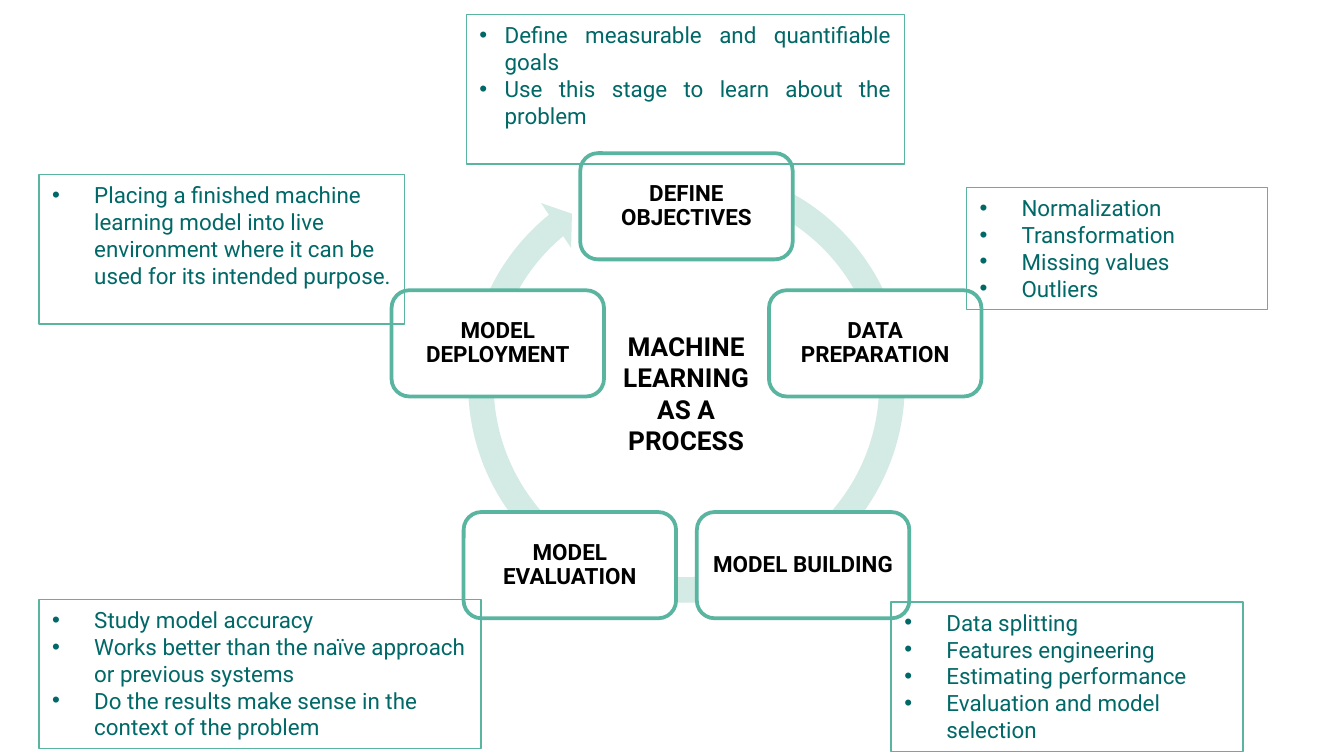
from math import cos, radians, sin

from lxml.etree import SubElement
from pptx import Presentation
from pptx.dml.color import RGBColor
from pptx.enum.shapes import MSO_SHAPE as Shape
from pptx.enum.text import MSO_ANCHOR as Anchor, PP_ALIGN as Align
from pptx.oxml.ns import qn
from pptx.util import Pt

FONT = "Roboto"
TEAL, DARK_TEAL, PALE_TEAL = "59B5A0", "006867", "D3EBE4"
BLACK, WHITE = "000000", "FFFFFF"

STAGES = ["DEFINE OBJECTIVES", "DATA PREPARATION", "MODEL BUILDING",
          "MODEL EVALUATION", "MODEL DEPLOYMENT"]
CALLOUTS = [
    ((249.8, 7.9, 234.7, 79.9), Align.JUSTIFY, 13.5,
     ["Define measurable and quantifiable goals",
      "Use this stage to learn about the problem"]),
    ((517.7, 100.4, 161.3, 65.5), Align.LEFT, 22.5,
     ["Normalization", "Transformation", "Missing values", "Outliers"]),
    ((477.4, 322.6, 188.6, 79.9), Align.LEFT, 22.5,
     ["Data splitting", "Features engineering", "Estimating performance",
      "Evaluation and model selection"]),
    ((20.9, 321.1, 236.9, 79.9), Align.LEFT, 22.5,
     ["Study model accuracy",
      "Works better than the naïve approach or previous systems",
      "Do the results make sense in the context of the problem"]),
    ((20.9, 93.6, 195.8, 79.9), Align.LEFT, 22.5,
     ["Placing a finished machine learning model into live environment "
      "where it can be used for its intended purpose."]),
]


def color(value):
    """Turn a hex string into a colour."""
    return RGBColor.from_string(value)


def add_panel(slide, kind, box, fill=None, line=None, width=1):
    """Add a preset shape with the given fill and outline."""
    panel = slide.shapes.add_shape(kind, *map(Pt, box))
    panel.shadow.inherit = False
    if fill:
        panel.fill.solid()
        panel.fill.fore_color.rgb = color(fill)
    else:
        panel.fill.background()
    if line:
        panel.line.color.rgb = color(line)
        panel.line.width = Pt(width)
    else:
        panel.line.fill.background()
    return panel


def style_paragraph(paragraph, size, ink, align, bold=False):
    """Set the font and alignment of a paragraph."""
    paragraph.alignment = align
    font = paragraph.font
    font.name, font.size, font.bold = FONT, Pt(size), bold
    font.color.rgb = color(ink)


def add_bullet(paragraph, indent):
    """Give a paragraph a hanging round bullet."""
    properties = paragraph._p.get_or_add_pPr()
    properties.set("marL", str(Pt(indent)))
    properties.set("indent", str(-Pt(indent)))
    bullet_color = SubElement(properties, qn("a:buClr"))
    SubElement(bullet_color, qn("a:srgbClr"), val=DARK_TEAL)
    SubElement(properties, qn("a:buFont"), typeface="Arial")
    SubElement(properties, qn("a:buChar"), char="•")


def add_stage(slide, box, label):
    """Add one rounded stage of the cycle."""
    frame = add_panel(slide, Shape.ROUNDED_RECTANGLE, box, WHITE, TEAL, 2).text_frame
    frame.word_wrap = True
    frame.vertical_anchor = Anchor.MIDDLE
    frame.margin_left = frame.margin_right = Pt(3.8)
    frame.margin_top = frame.margin_bottom = Pt(3.8)
    frame.text = label
    style_paragraph(frame.paragraphs[0], 12, BLACK, Align.CENTER, True)
    frame.paragraphs[0].line_spacing = 0.9


def add_callout(slide, box, align, indent, points):
    """Add an outlined box of bullet points."""
    frame = add_panel(slide, Shape.RECTANGLE, box, line=TEAL, width=0.75).text_frame
    frame.word_wrap = True
    frame.vertical_anchor = Anchor.TOP
    frame.text = "\n".join(points)
    for paragraph in frame.paragraphs:
        add_bullet(paragraph, indent)
        style_paragraph(paragraph, 12, DARK_TEAL, align)


def add_title(slide, box, title):
    """Add the title in the middle of the cycle."""
    frame = slide.shapes.add_textbox(*map(Pt, box)).text_frame
    frame.word_wrap = True
    frame.text = title
    style_paragraph(frame.paragraphs[0], 14, BLACK, Align.CENTER, True)


def add_cycle(slide, box):
    """Add the circular arrow and the stages on a regular pentagon."""
    left, top, size, _ = box
    arrow = add_panel(slide, Shape.CIRCULAR_ARROW, box, PALE_TEAL)
    for index, value in enumerate([0.055, 3.307, 138.384, 173.48, 0.058]):
        arrow.adjustments[index] = value
    width, height, radius = 113.8, 56.9, 106.3
    center_x, center_y = left + size / 2, top + 135.4
    for index, label in enumerate(STAGES):
        angle = radians(index * 360 / len(STAGES))
        x = center_x + radius * sin(angle) - width / 2
        y = center_y - radius * cos(angle) - height / 2
        add_stage(slide, (x, y, width, height), label)


def main():
    """Build and save the slide."""
    deck = Presentation()
    deck.slide_width, deck.slide_height = Pt(720), Pt(405)
    slide = deck.slides.add_slide(deck.slide_layouts[6])
    add_cycle(slide, (243.2, 81.4, 249.1, 249.1))
    for callout in CALLOUTS:
        add_callout(slide, *callout)
    add_title(slide, (320.4, 173.5, 94.3, 74.9), "MACHINE LEARNING AS A PROCESS")
    deck.save("out.pptx")


if __name__ == "__main__":
    main()
